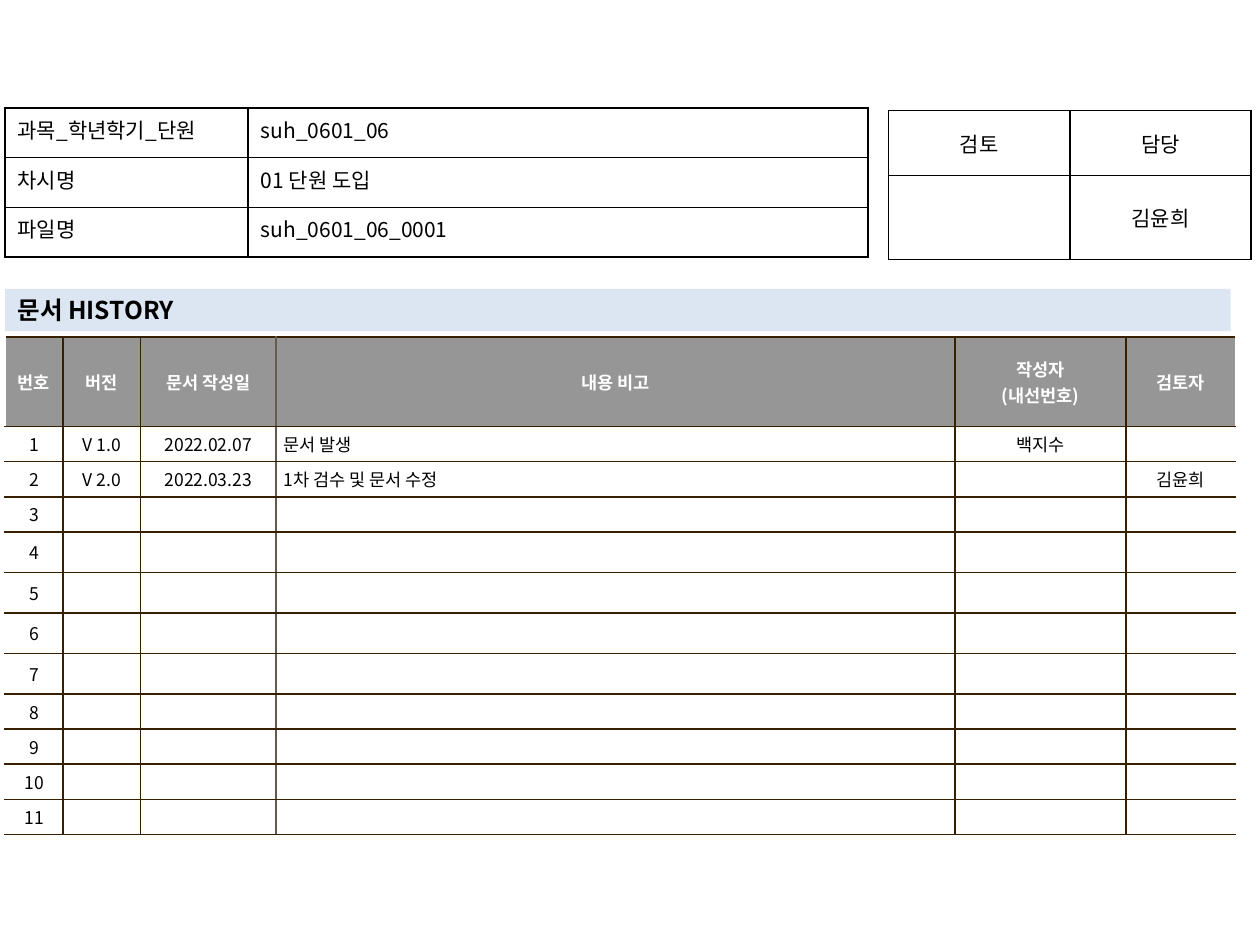
from lxml.etree import SubElement
from pptx import Presentation
from pptx.dml.color import RGBColor
from pptx.enum.shapes import MSO_SHAPE
from pptx.enum.text import MSO_ANCHOR, PP_ALIGN
from pptx.oxml.ns import qn
from pptx.util import Pt

FONT = "Noto Sans CJK KR"
COLORS = {
    "black": "000000",
    "white": "FFFFFF",
    "header": "969696",
    "heading": "DCE6F2",
    "brown": "362000",
    "taupe": "645B4C",
}
LEFT, CENTER, JUSTIFY = PP_ALIGN.LEFT, PP_ALIGN.CENTER, PP_ALIGN.JUSTIFY


def rgb(name):
    return RGBColor.from_string(COLORS[name])


def write_text(tf, text, size, color="black", bold=False, align=LEFT):
    tf.text = text
    for p in tf.paragraphs:
        p.alignment = align
        p.font.size = Pt(size)
        p.font.bold = bold
        p.font.color.rgb = rgb(color)
        p.font.name = FONT
        SubElement(p.font._element, qn("a:ea"), typeface=FONT)
        if not text:
            SubElement(p._p, qn("a:endParaRPr"), sz=str(size * 100))


def set_borders(cell, borders):
    tcPr = cell._tc.get_or_add_tcPr()
    for side in "LRTB":
        if side in borders:
            ln = SubElement(tcPr, qn(f"a:ln{side}"), w=str(Pt(1)))
            fill = SubElement(ln, qn("a:solidFill"))
            SubElement(fill, qn("a:srgbClr"), val=COLORS[borders[side]])


def format_cell(cell, insets, anchor, borders, fill=None):
    x, y = insets
    cell.margin_left = cell.margin_right = Pt(x)
    cell.margin_top = cell.margin_bottom = Pt(y)
    cell.vertical_anchor = anchor
    set_borders(cell, borders)
    if fill:
        cell.fill.solid()
        cell.fill.fore_color.rgb = rgb(fill)
    else:
        cell.fill.background()


def add_grid(s, left, top, widths, heights):
    frame = s.shapes.add_table(len(heights), len(widths), Pt(left), Pt(top),
                               Pt(sum(widths)), Pt(sum(heights)))
    table = frame.table
    table.first_row = table.horz_banding = False
    for column, width in zip(table.columns, widths):
        column.width = Pt(width)
    for row, height in zip(table.rows, heights):
        row.height = Pt(height)
    return table


def add_form(s, left, top, widths, heights, rows, aligns, anchor):
    table = add_grid(s, left, top, widths, heights)
    for r, row in enumerate(rows):
        for c, text in enumerate(row):
            cell = table.cell(r, c)
            format_cell(cell, (7.2, 3.6), anchor, dict.fromkeys("LRTB", "black"))
            write_text(cell.text_frame, text, 12, align=aligns[c])


def history_borders(column, last):
    borders = dict.fromkeys("LRTB", "brown")
    if column == 0:
        del borders["L"]
    if column == last:
        del borders["R"]
    if column == 2:
        borders["R"] = "taupe"
    if column == 3:
        borders["L"] = "taupe"
    return borders


def add_history(s, left, top, widths, heights, rows):
    table = add_grid(s, left, top, widths, heights)
    for r, row in enumerate(rows):
        header = r == 0
        for c, text in enumerate(row):
            cell = table.cell(r, c)
            format_cell(cell, (4.5, 2.8), MSO_ANCHOR.MIDDLE,
                        history_borders(c, len(row) - 1),
                        "header" if header else "white")
            write_text(cell.text_frame, text, 10,
                       "white" if header else "black", header,
                       LEFT if c == 3 and not header else CENTER)


def add_heading(s, left, top, width, height, text):
    sp = s.shapes.add_shape(MSO_SHAPE.RECTANGLE, Pt(left), Pt(top),
                            Pt(width), Pt(height))
    sp.shadow.inherit = False
    sp.fill.solid()
    sp.fill.fore_color.rgb = rgb("heading")
    sp.line.fill.background()
    tf = sp.text_frame
    tf.word_wrap = True
    tf.margin_top = tf.margin_bottom = 0
    tf.vertical_anchor = MSO_ANCHOR.MIDDLE
    write_text(tf, text, 14, bold=True)


def main():
    prs = Presentation()
    prs.slide_width, prs.slide_height = Pt(720), Pt(540)
    s = prs.slides.add_slide(prs.slide_layouts[6])

    history = [
        ["번호", "버전", "문서 작성일", "내용 비고", "작성자\n(내선번호)", "검토자"],
        ["1", "V 1.0", "2022.02.07", "문서 발생", "백지수", ""],
        ["2", "V 2.0", "2022.03.23", "1차 검수 및 문서 수정", "", "김윤희"],
    ]
    history += [[str(n)] + [""] * 5 for n in range(3, 12)]
    heights = [51] + [20.1] * 3 + [23.15] * 4 + [20.1] * 4
    add_history(s, 2.9, 192.7, [33.1, 44.3, 77.4, 388, 97.8, 62.5],
                heights, history)

    add_form(s, 507.6, 63.2, [103.7, 103.7], [37, 48],
             [["검토", "담당"], ["", "김윤희"]],
             [CENTER, CENTER], MSO_ANCHOR.MIDDLE)
    add_heading(s, 2.9, 165, 700.3, 24.3, "문서 HISTORY")
    add_form(s, 2.9, 61.7, [138.9, 354.3], [28.4] * 3,
             [["과목_학년학기_단원", "suh_0601_06"],
              ["차시명", "01 단원 도입"],
              ["파일명", "suh_0601_06_0001"]],
             [JUSTIFY, LEFT], MSO_ANCHOR.TOP)
    prs.save("out.pptx")


if __name__ == "__main__":
    main()
